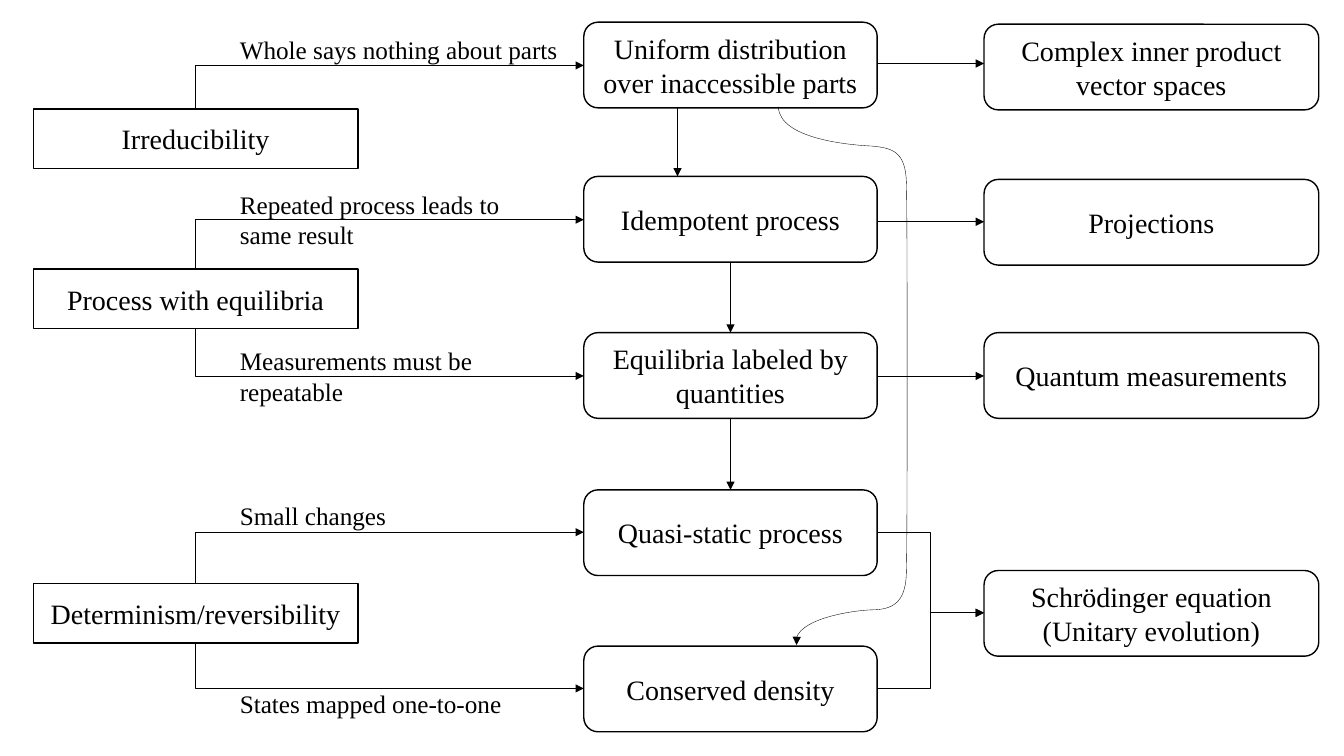
from lxml.etree import SubElement
from pptx import Presentation
from pptx.dml.color import RGBColor
from pptx.enum.shapes import MSO_CONNECTOR, MSO_SHAPE
from pptx.enum.text import MSO_ANCHOR, PP_ALIGN
from pptx.oxml.ns import qn
from pptx.util import Pt

PX = 9144  # EMU per px, 100 px to the inch
FONT = "Times New Roman"
INK = "000000"

# Column boxes: left, top, width, height
ASSUMPTIONS = (33, 108, 322, 530)
DERIVATIONS = (579, 22, 291, 704)
RESULTS = (976, 24, 332, 627)
RULE_H, NODE_H = 59, 85


def color(hex_string):
    return RGBColor.from_string(hex_string)


def px(*lengths):
    return [round(n * PX) for n in lengths]


def write(sp, text, size, align):
    p = sp.text_frame.paragraphs[0]
    p.text = text
    p.alignment = align
    p.font.name, p.font.size = FONT, Pt(size)
    p.font.color.rgb = color(INK)


def add_node(s, kind, box, text):
    sp = s.shapes.add_shape(kind, *px(*box))
    sp.shadow.inherit = False
    sp.fill.background()
    sp.line.color.rgb, sp.line.width = color(INK), Pt(1)
    sp.text_frame.vertical_anchor = MSO_ANCHOR.MIDDLE
    sp.text_frame.word_wrap = True
    write(sp, text, 20, PP_ALIGN.CENTER)


def add_label(s, box, text, wrap=True):
    sp = s.shapes.add_textbox(*px(*box))
    sp.text_frame.word_wrap = wrap
    write(sp, text, 18, PP_ALIGN.LEFT)


def style_arrow(sp, width):
    """Colour the line and put an arrowhead at its end."""
    sp.line.color.rgb, sp.line.width = color(INK), Pt(width)
    ln = sp._element.spPr.find(qn("a:ln"))
    SubElement(ln, qn("a:tailEnd"), type="triangle")


def add_arrow(s, x1, y1, x2, y2, kind=MSO_CONNECTOR.STRAIGHT):
    c = s.shapes.add_connector(kind, *px(x1, y1, x2, y2))
    style_arrow(c, 0.5)
    SubElement(c._element.spPr, qn("a:effectLst"))
    return c


def add_corner_arrow(s, x1, y1, x2, y2):
    """Arrow that leaves vertically, turns once and arrives from the left."""
    w, h = abs(y2 - y1), x2 - x1
    left, top = (x1 + x2 - w) / 2, (y1 + y2 - h) / 2
    c = add_arrow(s, left, top, left + w, top + h, MSO_CONNECTOR.ELBOW)
    sp_pr = c._element.spPr
    sp_pr.find(qn("a:prstGeom")).set("prst", "bentConnector2")
    xfrm = sp_pr.find(qn("a:xfrm"))
    xfrm.set("flipH", "1")
    if y2 < y1:
        xfrm.set("rot", str(90 * 60000))
        xfrm.set("flipV", "1")
    else:
        xfrm.set("rot", str(270 * 60000))


def add_curved_arrow(s, points):
    """Chain of Bezier curves: a start, then three points for each curve."""
    start, *rest = points
    builder = s.shapes.build_freeform(*start, scale=PX)
    builder.add_line_segments(rest, close=False)
    sp = builder.convert_to_shape()
    sp.shadow.inherit = False
    sp.fill.background()
    style_arrow(sp, 0.25)
    segments = list(sp._element.iter(qn("a:lnTo")))
    outline = segments[0].getparent()
    for i in range(0, len(segments), 3):
        curve = SubElement(outline, qn("a:cubicBezTo"))
        for segment in segments[i:i + 3]:
            curve.append(segment[0])
            outline.remove(segment)


def draw_assumptions(s, box, target_x, rules):
    """Each rule: offset, text, branches of (offset, label offset, w, h, label)."""
    x, y, w, _ = box
    for dy, text, branches in rules:
        top = y + dy
        add_node(s, MSO_SHAPE.RECTANGLE, (x, top, w, RULE_H), text)
        for end, label_y, label_w, label_h, label in branches:
            add_label(s, (x + 195, y + label_y, label_w, label_h), label, label_w <= w)
            edge = top if end < dy else top + RULE_H
            add_corner_arrow(s, x + w / 2, edge, target_x, y + end)


def draw_derivations(s, box, steps):
    x, y, w, _ = box
    for dy, text in steps:
        add_node(s, MSO_SHAPE.ROUNDED_RECTANGLE, (x, y + dy, w, NODE_H), text)
    for i, ((dy, _), (next_dy, _)) in enumerate(zip(steps[:3], steps[1:])):
        mid = x + (93 if i == 0 else w / 2)
        add_arrow(s, mid, y + dy + NODE_H, mid, y + next_dy)
    curve = [(193, 84), (194, 116), (264, 122), (286, 123), (307, 125), (319, 129),
             (320, 159), (321, 189), (321, 515), (320, 544), (320, 573), (309, 582),
             (289, 583), (269, 583), (204, 593), (211, 618)]
    add_curved_arrow(s, [(x + cx, y + cy) for cx, cy in curve])


def draw_results(s, box, source_x, results):
    """Each result: offset, text, arrow end, arrow starts (all from the box top)."""
    x, y, w, _ = box
    for dy, text, end, starts in results:
        add_node(s, MSO_SHAPE.ROUNDED_RECTANGLE, (x, y + dy, w, NODE_H), text)
        for start in starts:
            kind = MSO_CONNECTOR.STRAIGHT if start == end else MSO_CONNECTOR.ELBOW
            add_arrow(s, source_x, y + start, x, y + end, kind)


def main():
    prs = Presentation()
    prs.slide_width, prs.slide_height = px(1333, 750)
    s = prs.slides.add_slide(prs.slide_layouts[6])
    draw_assumptions(s, ASSUMPTIONS, DERIVATIONS[0], [
        (0, "Irreducibility", [
            (-43, -79, 339, 40, "Whole says nothing about parts")]),
        (159, "Process with equilibria", [
            (110, 75, 322, 71, "Repeated process leads to\vsame result"),
            (265, 230, 322, 71, "Measurements must be\vrepeatable")]),
        (471, "Determinism/reversibility", [
            (420, 383, 322, 40, "Small changes"),
            (575, 570, 322, 40, "States mapped one-to-one")]),
    ])
    draw_derivations(s, DERIVATIONS, [
        (0, "Uniform distribution over inaccessible parts"),
        (153, "Idempotent process"),
        (308, "Equilibria labeled by quantities"),
        (464, "Quasi-static process"),
        (619, "Conserved density"),
    ])
    draw_results(s, RESULTS, DERIVATIONS[0] + DERIVATIONS[2], [
        (0, "Complex inner product vector spaces", 39, [39]),
        (154, "Projections", 196, [196]),
        (306, "Quantum measurements", 349, [349]),
        (542, "Schrödinger equation\v(Unitary evolution)", 584, [659, 504]),
    ])
    prs.save("out.pptx")


if __name__ == "__main__":
    main()
